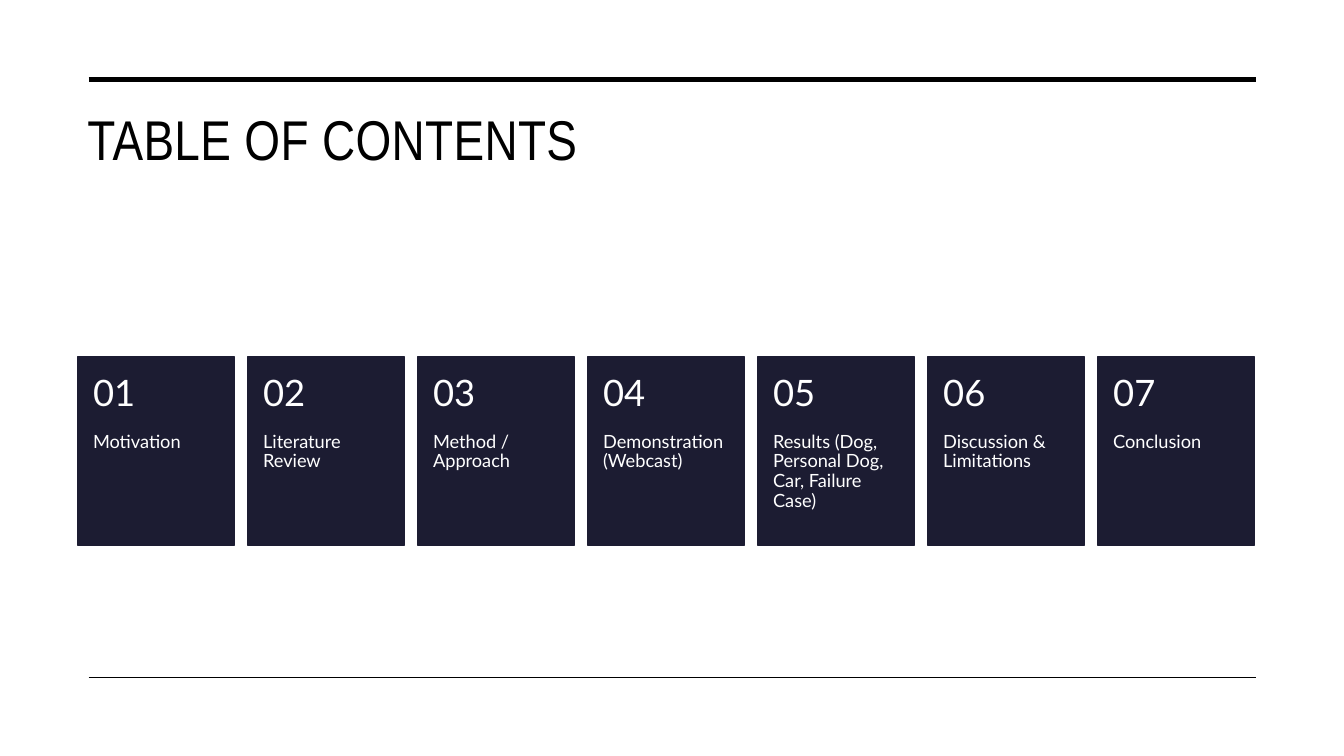
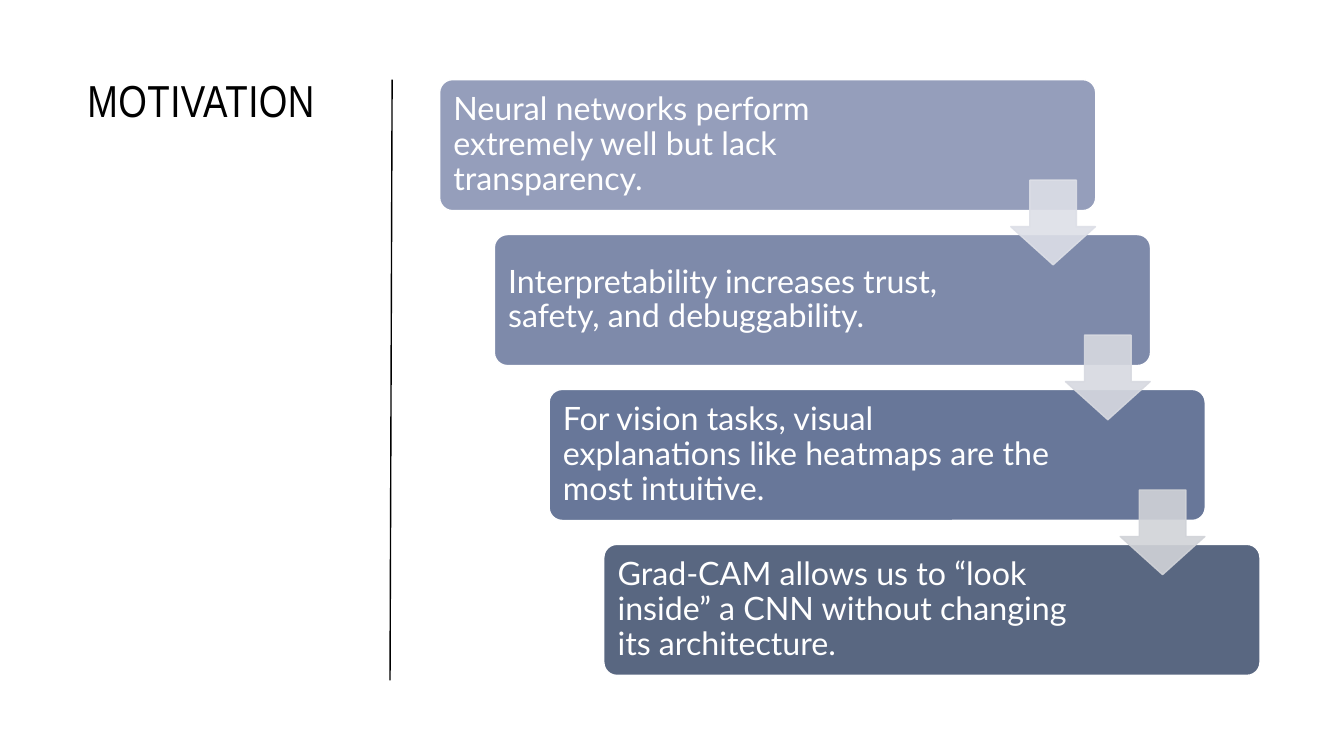
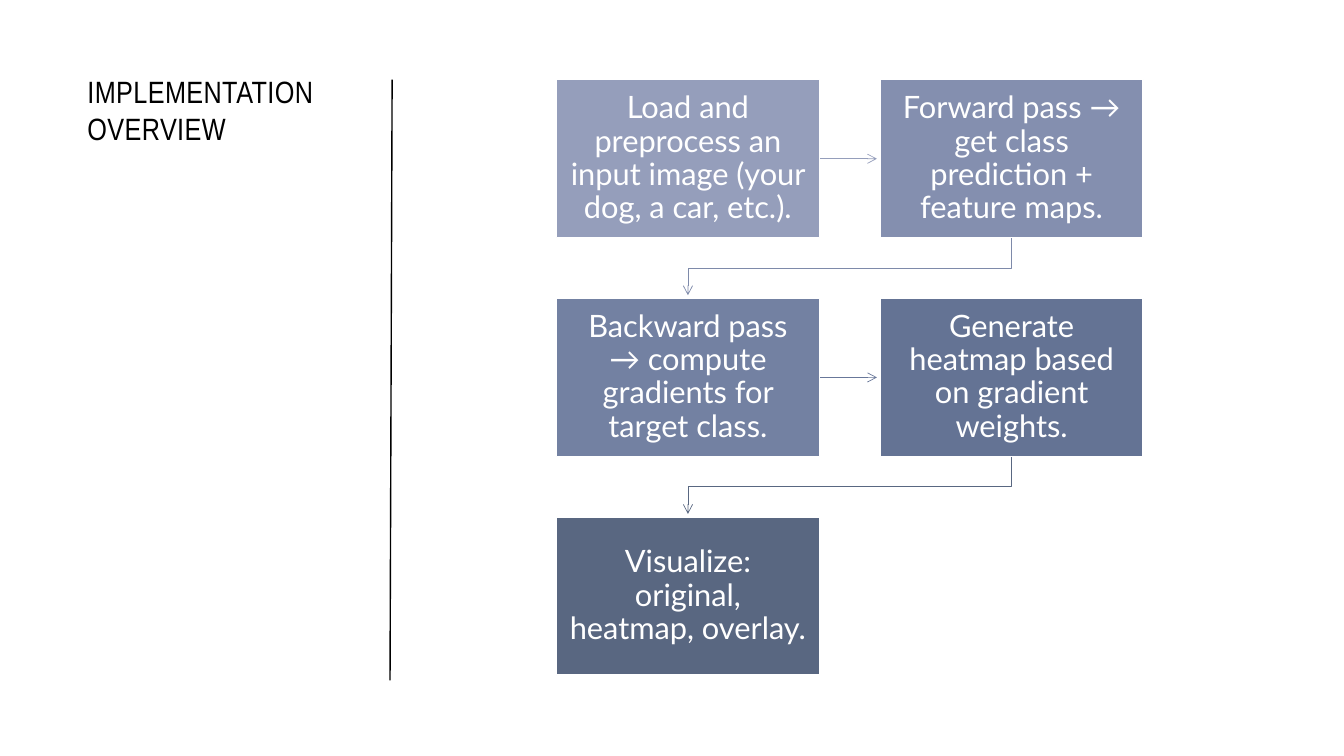
"""Build three slides: table of contents, motivation and implementation overview."""
import lxml.etree
import pptx
import pptx.dml.color
import pptx.enum.shapes
import pptx.enum.text
import pptx.oxml.ns
import pptx.util

Pt = pptx.util.Pt
SHAPES = pptx.enum.shapes.MSO_SHAPE
ANCHOR = pptx.enum.text.MSO_ANCHOR
ALIGN = pptx.enum.text.PP_ALIGN
qn = pptx.oxml.ns.qn

BLACK, WHITE, NAVY = "000000", "FFFFFF", "1C1C32"
TITLE_FONT, BODY_FONT = "Arial Narrow", "Lato"

CONTENTS = [
    "Motivation",
    "Literature Review",
    "Method / Approach",
    "Demonstration (Webcast)",
    "Results (Dog, Personal Dog, Car, Failure Case)",
    "Discussion & Limitations",
    "Conclusion",
]
REASONS = [
    ("Neural networks perform extremely well but lack transparency.", "959EBB"),
    ("Interpretability increases trust, safety, and debuggability.", "7E8AAA"),
    ("For vision tasks, visual explanations like heatmaps are the most intuitive.", "687799"),
    ("Grad-CAM allows us to “look inside” a CNN without changing its architecture.", "596781"),
]
ARROW_COLORS = ["DDDFE7", "D7D9E0", "D1D3D8"]
STAGES = [
    ("Load and preprocess an input image (your dog, a car, etc.).", "959EBB"),
    ("Forward pass → get class prediction + feature maps.", "848FAF"),
    ("Backward pass → compute gradients for target class.", "7381A2"),
    ("Generate heatmap based on gradient weights.", "647394"),
    ("Visualize: original, heatmap, overlay.", "596781"),
]
LINK_COLORS = ["959EBB", "7E8AAA", "687799", "596781"]


def rgb(color):
    """Turn a hex string into a colour."""
    return pptx.dml.color.RGBColor.from_string(color)


def write(shape, text, size, color=WHITE, font=BODY_FONT, anchor=ANCHOR.MIDDLE,
          align=ALIGN.LEFT, insets=(7.2, 3.6, 7.2, 3.6), line_spacing=0.9, tracking=0):
    """Put formatted text into a shape; insets run left, top, right, bottom."""
    frame = shape.text_frame
    frame.word_wrap = True
    frame.vertical_anchor = anchor
    frame.margin_left, frame.margin_top, frame.margin_right, frame.margin_bottom = map(Pt, insets)
    paragraph = frame.paragraphs[0]
    paragraph.alignment = align
    paragraph.line_spacing = line_spacing
    run = paragraph.add_run()
    run.text = text
    run.font.name, run.font.size = font, Pt(size)
    run.font.color.rgb = rgb(color)
    if tracking:
        run.font._element.set("spc", str(round(tracking * 100)))


def add_box(slide, kind, left, top, width, height, fill, line=WHITE, adjustments=()):
    """Add a filled preset shape with a one-point outline."""
    shape = slide.shapes.add_shape(kind, Pt(left), Pt(top), Pt(width), Pt(height))
    shape.shadow.inherit = False
    shape.fill.solid()
    shape.fill.fore_color.rgb = rgb(fill)
    shape.line.color.rgb = rgb(line)
    shape.line.width = Pt(1)
    for index, value in enumerate(adjustments):
        shape.adjustments[index] = value
    return shape


def add_text(slide, text, left, top, width, height, **text_format):
    """Add a text box."""
    write(slide.shapes.add_textbox(Pt(left), Pt(top), Pt(width), Pt(height)), text, **text_format)


def add_title(slide, text, size, top, width, height):
    """Add the slide title."""
    add_text(slide, text, 55.4, top, width, height, size=size, color=BLACK, font=TITLE_FONT,
             anchor=ANCHOR.TOP, line_spacing=1.0, tracking=0.3)


def add_line(slide, start, end, color=BLACK, width=1):
    """Add a straight line without a shadow."""
    line = slide.shapes.add_connector(pptx.enum.shapes.MSO_CONNECTOR.STRAIGHT,
                                      *map(Pt, start + end))
    line.line.color.rgb = rgb(color)
    line.line.width = Pt(width)
    lxml.etree.SubElement(line._element.spPr, qn("a:effectLst"))
    return line


def add_elbow(slide, points, color):
    """Add an open bent line through the points."""
    builder = slide.shapes.build_freeform(*map(Pt, points[0]))
    builder.add_line_segments([(Pt(x), Pt(y)) for x, y in points[1:]], close=False)
    elbow = builder.convert_to_shape()
    elbow.shadow.inherit = False
    elbow.fill.background()
    elbow.line.color.rgb = rgb(color)
    elbow.line.width = Pt(0.5)
    return elbow


def add_arrowhead(shape):
    """Put an open arrowhead at the end of a line."""
    lxml.etree.SubElement(shape.line._get_or_add_ln(), qn("a:tailEnd"), type="arrow")


def set_opacity(shape, percent):
    """Set the opacity of fill and outline."""
    for color in shape._element.spPr.iter(qn("a:srgbClr")):
        lxml.etree.SubElement(color, qn("a:alpha"), val=str(percent * 1000))


def add_side_title(slide, text, size):
    """Add a title in the left column and the rule beside it."""
    add_title(slide, text, size, top=48.2, width=198.7, height=353.5)
    add_line(slide, (278.6, 486), (280.1, 56.9))


def build_contents(slide):
    """Draw a row of numbered cards between two rules."""
    add_title(slide, "TABLE OF CONTENTS", 40, top=71.3, width=841.7, height=90.7)
    for y, width in ((56.9, 3.5), (483.8, 1)):
        add_line(slide, (63.4, y), (897.1, y), width=width)
    top, width, height, number_height = 254.9, 112.3, 134.6, 54
    for index, label in enumerate(CONTENTS):
        left = 55.4 + index * 121.44
        card = add_box(slide, SHAPES.RECTANGLE, left, top, width, height, NAVY, line=NAVY)
        write(card, label, 13, anchor=ANCHOR.TOP, insets=(11.1, number_height, 11.1, 25.9))
        add_text(slide, f"{index + 1:02}", left, top, width, number_height, size=26,
                 insets=(11.1, 13, 11.1, 13))


def build_motivation(slide):
    """Draw a staircase of statements joined by block arrows."""
    add_side_title(slide, "MOTIVATION", 32)
    step_x, step_y = 39.1, 110.65
    for index, (text, color) in enumerate(REASONS):
        step = add_box(slide, SHAPES.ROUNDED_RECTANGLE, 314 + index * step_x,
                       56.9 + index * step_y, 468.7, 93.6, color, adjustments=[0.1])
        write(step, text, 23, insets=(7.2, 7.2, 107, 7.2))
    for index, color in enumerate(ARROW_COLORS):
        arrow = add_box(slide, SHAPES.DOWN_ARROW, 722 + index * step_x, 128.7 + index * step_y,
                        60.5, 60.5, color, line=color, adjustments=[0.55, 0.45])
        set_opacity(arrow, 90)


def build_implementation(slide):
    """Draw a two-column flow of stages."""
    add_side_title(slide, "IMPLEMENTATION OVERVIEW", 22)
    width, height, gap_x, gap_y, clearance = 188, 113, 43.2, 43.2, 2.2
    places = [(397.4 + index % 2 * (width + gap_x), 56.9 + index // 2 * (height + gap_y))
              for index in range(len(STAGES))]
    for index, color in enumerate(LINK_COLORS):
        (left, top), (next_left, next_top) = places[index:index + 2]
        if top == next_top:
            middle = top + height / 2
            link = add_line(slide, (left + width, middle), (next_left - clearance, middle),
                            color, 0.5)
        else:
            start_x, end_x, bottom = left + width / 2, next_left + width / 2, top + height
            bend = bottom + gap_y / 2
            link = add_elbow(slide, [(start_x, bottom), (start_x, bend), (end_x, bend),
                                     (end_x, next_top - clearance)], color)
        add_arrowhead(link)
    for (left, top), (text, color) in zip(places, STAGES):
        stage = add_box(slide, SHAPES.RECTANGLE, left, top, width, height, color)
        write(stage, text, 22, align=ALIGN.CENTER, insets=(9.2, 9.2, 9.2, 9.2))


def main():
    """Build and save the presentation."""
    presentation = pptx.Presentation()
    presentation.slide_width, presentation.slide_height = Pt(960), Pt(540)
    for build in (build_contents, build_motivation, build_implementation):
        build(presentation.slides.add_slide(presentation.slide_layouts[6]))
    presentation.save("out.pptx")


if __name__ == "__main__":
    main()
